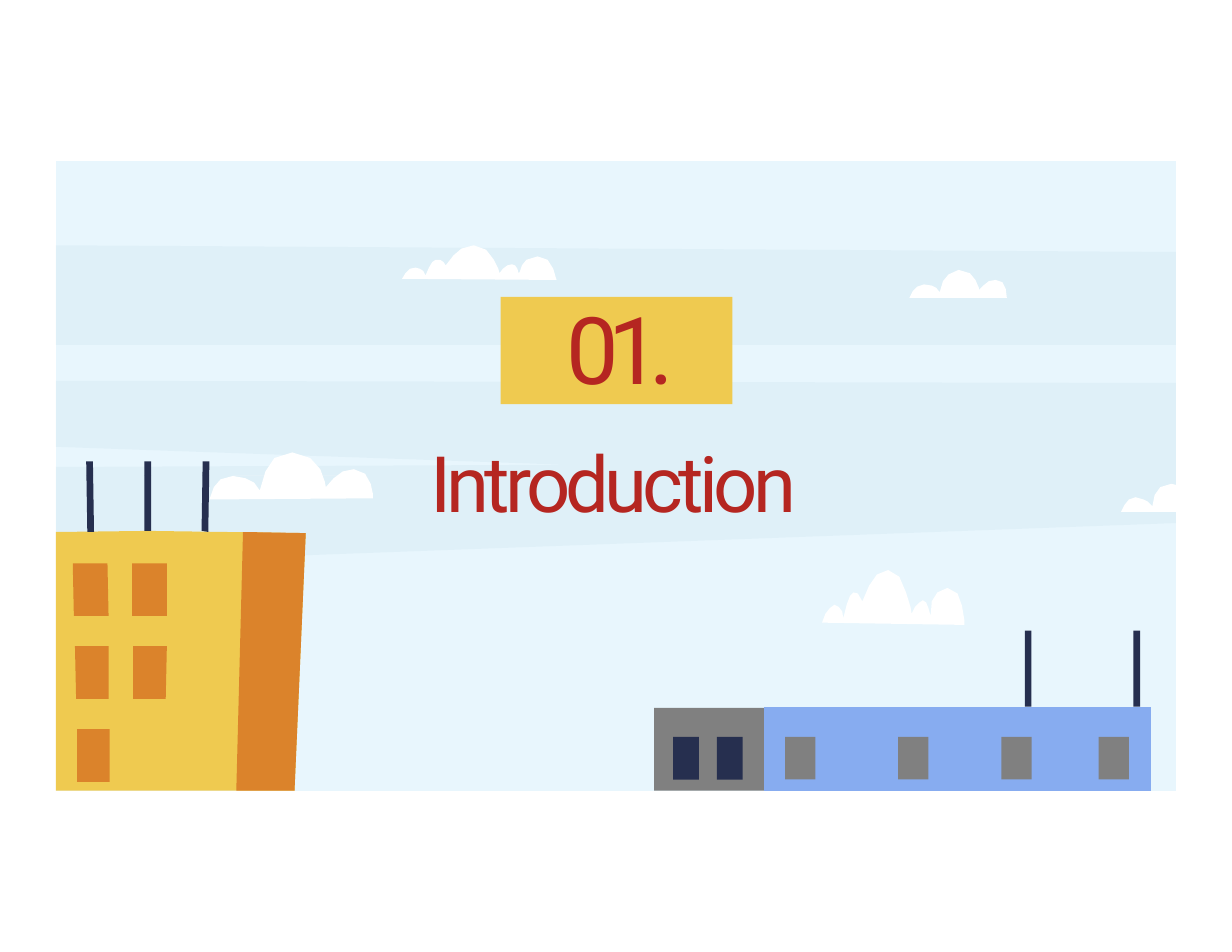
from lxml.etree import SubElement
from pptx import Presentation
from pptx.dml.color import RGBColor
from pptx.enum.shapes import MSO_SHAPE
from pptx.enum.text import MSO_ANCHOR, MSO_AUTO_SIZE, PP_ALIGN
from pptx.oxml.ns import qn
from pptx.util import Inches, Pt

SKY, BAND, CLOUD = "E8F6FD", "B5D6E2", "FFFFFF"
GOLD, RUST, NAVY = "EFCA50", "DB832B", "262F4F"
BLUE, GRAY, RED = "87ACF0", "808080", "B52621"
MID = 4.25  # the scenery is drawn in two halves that meet here

# Bands across the sky
BANDS = [
    [(10.5, 2.25), (0.5, 2.19), (0.5, 3.08), (10.5, 3.08)],
    [(10.5, 3.42), (0.5, 3.4), (0.5, 3.99), (5.05, 4.15),
     (0.5, 4.17), (0.5, 5.04), (10.5, 4.67)],
]

# Cloud outlines, each closed along its flat base
CLOUDS = [
    [(4.97, 2.5), (4.96, 2.47), (4.94, 2.4), (4.89, 2.32), (4.8, 2.29),
     (4.7, 2.32), (4.66, 2.37), (4.64, 2.43), (4.63, 2.44), (4.62, 2.4),
     (4.6, 2.37), (4.57, 2.36), (4.53, 2.37), (4.49, 2.4), (4.46, 2.44),
     (4.45, 2.4), (4.41, 2.32), (4.34, 2.23), (4.23, 2.19), (4.12, 2.22),
     (4.05, 2.28), (3.98, 2.37), (3.96, 2.34), (3.93, 2.32), (3.89, 2.32),
     (3.86, 2.34), (3.83, 2.39), (3.8, 2.46), (3.78, 2.42), (3.75, 2.4),
     (3.71, 2.39), (3.66, 2.4), (3.62, 2.44), (3.59, 2.49)],
    [(8.99, 2.66), (8.98, 2.58), (8.95, 2.52), (8.89, 2.5), (8.83, 2.51),
     (8.78, 2.55), (8.74, 2.59), (8.74, 2.57), (8.71, 2.5), (8.66, 2.44),
     (8.56, 2.41), (8.47, 2.45), (8.42, 2.51), (8.39, 2.61), (8.36, 2.57),
     (8.32, 2.55), (8.25, 2.54), (8.19, 2.56), (8.15, 2.6), (8.12, 2.66)],
    [(3.33, 4.45), (3.33, 4.41), (3.31, 4.32), (3.26, 4.23), (3.16, 4.19),
     (3.06, 4.21), (2.98, 4.27), (2.91, 4.35), (2.9, 4.3), (2.86, 4.19),
     (2.77, 4.09), (2.61, 4.04), (2.45, 4.09), (2.37, 4.21), (2.32, 4.38),
     (2.27, 4.31), (2.19, 4.27), (2.08, 4.25), (1.97, 4.28), (1.91, 4.35),
     (1.87, 4.46)],
    [(8.61, 5.58), (8.61, 5.53), (8.59, 5.41), (8.55, 5.3), (8.46, 5.25),
     (8.37, 5.29), (8.32, 5.37), (8.31, 5.5), (8.29, 5.43), (8.27, 5.38),
     (8.24, 5.36), (8.21, 5.38), (8.17, 5.42), (8.14, 5.48), (8.13, 5.42),
     (8.09, 5.29), (8.03, 5.15), (7.93, 5.09), (7.83, 5.13), (7.76, 5.23),
     (7.7, 5.37), (7.66, 5.3), (7.62, 5.29), (7.59, 5.32), (7.56, 5.4),
     (7.53, 5.52), (7.52, 5.46), (7.49, 5.42), (7.45, 5.4), (7.41, 5.43),
     (7.37, 5.48), (7.34, 5.56)],
    [(10.5, 4.33), (10.46, 4.32), (10.36, 4.35), (10.31, 4.42),
     (10.29, 4.52), (10.25, 4.48), (10.21, 4.46), (10.14, 4.44),
     (10.08, 4.46), (10.04, 4.51), (10.01, 4.57), (10.5, 4.57)],
]

# Leaning house: front, side wall, roof masts and windows
FRONT = [(0.5, 4.75), (1.33, 4.74), (2.73, 4.76), (2.63, 7.06), (0.5, 7.06)]
SIDE = [(2.17, 4.75), (2.73, 4.76), (2.63, 7.06), (2.11, 7.06)]
MASTS = [
    [(0.77, 4.12), (0.83, 4.12), (0.84, 4.75), (0.78, 4.75)],
    [(1.29, 4.12), (1.35, 4.12), (1.35, 4.74), (1.29, 4.74)],
    [(1.81, 4.12), (1.87, 4.12), (1.86, 4.75), (1.8, 4.74)],
]
PANES = [
    [(0.65, 5.03), (0.96, 5.03), (0.97, 5.5), (0.66, 5.5)],
    [(0.67, 5.77), (0.97, 5.77), (0.97, 6.24), (0.68, 6.24)],
    [(0.69, 6.51), (0.98, 6.51), (0.98, 6.98), (0.69, 6.98)],
    [(1.18, 5.03), (1.49, 5.03), (1.49, 5.5), (1.18, 5.5)],
    [(1.19, 5.77), (1.49, 5.77), (1.48, 6.24), (1.19, 6.24)],
]


def paint(shape, tint, alpha=None):
    shape.shadow.inherit = False
    shape.line.fill.background()
    shape.fill.solid()
    shape.fill.fore_color.rgb = RGBColor.from_string(tint)
    if alpha:
        node = shape.element.spPr.find(f".//{qn('a:srgbClr')}")
        SubElement(node, qn("a:alpha")).set("val", str(alpha * 1000))


def box(left, top, right, base):
    return [(left, top), (right, top), (right, base), (left, base)]


def clip(loops, side):
    """Keep what lies above (side -1) or below (side 1) MID."""
    kept = []
    for loop in loops:
        part = []
        for (xa, ya), (xb, yb) in zip(loop, loop[1:] + loop[:1]):
            if (ya - MID) * side >= 0:
                part.append((xa, ya))
            if (ya - MID) * (yb - MID) < 0:
                part.append((xa + (xb - xa) * (MID - ya) / (yb - ya), MID))
        if len(part) > 2:
            kept.append(part)
    return kept


def outline(slide, loops, tint, alpha=None):
    """Draw closed loops as one filled shape."""
    loops = [[(Inches(x), Inches(y)) for x, y in loop] for loop in loops]
    pen = slide.shapes.build_freeform(*loops[0][0])
    for i, loop in enumerate(loops):
        if i:
            pen.move_to(*loop[0])
        pen.add_line_segments(loop[1:], close=True)
    paint(pen.convert_to_shape(), tint, alpha)


def scene(slide, side):
    """Draw one half of the sky."""
    outline(slide, clip([box(0.5, 1.44, 10.5, 7.06)], side), SKY)
    outline(slide, clip(BANDS, side), BAND, 17)
    outline(slide, clip(CLOUDS, side), CLOUD)


def label(shape, text, size, track, indent):
    """Set left-aligned text; track is the letter spacing in points."""
    frame = shape.text_frame
    frame.text = text
    frame.word_wrap = True
    frame.auto_size = MSO_AUTO_SIZE.SHAPE_TO_FIT_TEXT
    frame.vertical_anchor = MSO_ANCHOR.TOP
    frame.margin_left = frame.margin_right = frame.margin_bottom = 0
    frame.margin_top = Inches(0.01)
    para = frame.paragraphs[0]
    para.alignment = PP_ALIGN.LEFT
    props = para._p.get_or_add_pPr()
    props.set("marL", str(Inches(indent)))
    props.set("indent", "0")
    font = para.runs[0].font
    font.name, font.size = "Roboto", Pt(size)
    font.color.rgb = RGBColor.from_string(RED)
    para.runs[0]._r.get_or_add_rPr().set("spc", str(round(track * 100)))
    return para


def main():
    deck = Presentation()
    deck.slide_width, deck.slide_height = Inches(11), Inches(8.5)
    slide = deck.slides.add_slide(deck.slide_layouts[5])

    # Upper half with the section number
    scene(slide, -1)
    badge = slide.shapes.add_shape(
        MSO_SHAPE.RECTANGLE, *map(Inches, (4.47, 2.65, 2.07, 0.96)))
    paint(badge, GOLD)
    label(badge, "01.", 60, -7, 0.59).line_spacing = Pt(67.8)
    outline(slide, clip(MASTS, -1), NAVY)

    # Lower half, with the title in front of it
    scene(slide, 1)
    title = slide.shapes.title
    title.left, title.top = Inches(3.83), Inches(3.87)
    title.width, title.height = Inches(3.34), Inches(0.86)
    label(title, "Introduction", 50, -3.1, 0.01)
    title.element.getparent().append(title.element)

    # Leaning house
    outline(slide, [FRONT], GOLD)
    outline(slide, [SIDE], RUST)
    outline(slide, clip(MASTS, 1), NAVY)
    outline(slide, PANES, RUST)

    # Low house
    outline(slide, [box(x, 5.63, x + 0.06, 6.31) for x in (9.15, 10.12)], NAVY)
    outline(slide, [box(6.82, 6.31, 10.28, 7.06)], BLUE)
    panes = [box(x, 6.58, x + 0.27, 6.96) for x in (7.01, 8.02, 8.94, 9.81)]
    outline(slide, [box(5.84, 6.32, 6.82, 7.06)] + panes, GRAY)
    outline(slide, [box(x, 6.58, x + 0.23, 6.96) for x in (6.01, 6.4)], NAVY)

    deck.save("out.pptx")


if __name__ == "__main__":
    main()
